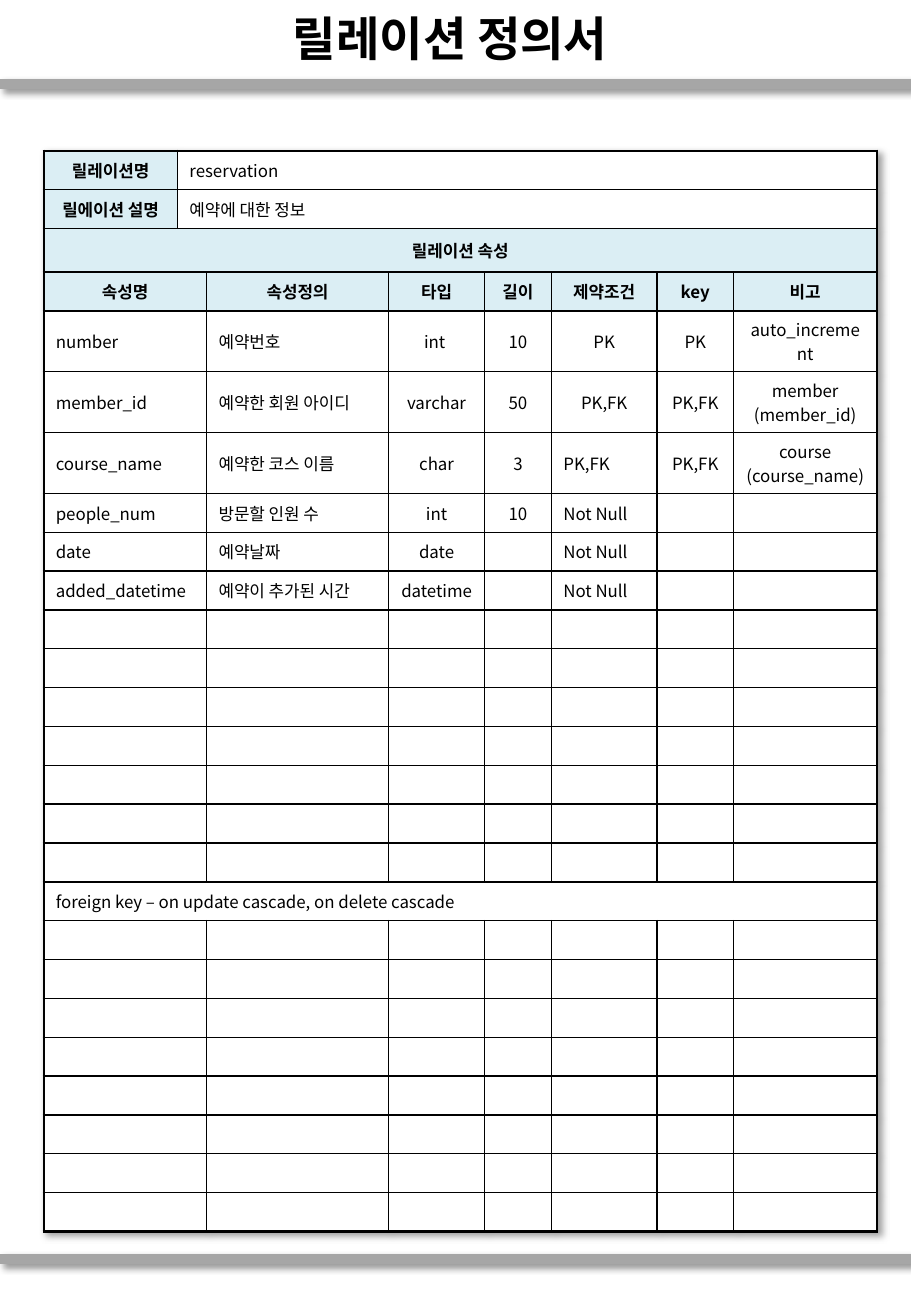
from lxml import etree
from pptx import Presentation
from pptx.dml.color import RGBColor
from pptx.enum.shapes import MSO_CONNECTOR
from pptx.enum.text import MSO_ANCHOR, MSO_AUTO_SIZE, PP_ALIGN
from pptx.oxml.ns import qn
from pptx.util import Inches, Pt

LEFT, MID = PP_ALIGN.LEFT, PP_ALIGN.CENTER
CENTER = MSO_ANCHOR.MIDDLE
FIXED = MSO_AUTO_SIZE.NONE
STRAIGHT = MSO_CONNECTOR.STRAIGHT

WIDE, HIGH = 7.5, 10.83
FONT = "Noto Sans CJK KR"
BLACK, WHITE, GRAY, TINT = "000000", "FFFFFF", "A6A6A6", "DBEEF4"
COLS = [1.1, 0.17, 1.5, 0.79, 0.55, 0.87, 0.63, 1.18]
ROW, BAND = 0.32, 0.36

BLANK = [""] * 7
ROWS = [
    ["릴레이션명", "reservation"],
    ["릴에이션 설명", "예약에 대한 정보"],
    ["릴레이션 속성"],
    ["속성명", "속성정의", "타입", "길이", "제약조건", "key", "비고"],
    ["number", "예약번호", "int ", "10", "PK", "PK", "auto_increment"],
    ["member_id", "예약한 회원 아이디", "varchar", "50", "PK,FK", "PK,FK",
     "member\n(member_id)"],
    ["course_name", "예약한 코스 이름", "char", "3", "PK,FK", "PK,FK",
     "course\n(course_name)"],
    ["people_num", "방문할 인원 수", "int", "10", "Not Null", "", ""],
    ["date", "예약날짜", "date", "", "Not Null", "", ""],
    ["added_datetime", "예약이 추가된 시간", "datetime", "", "Not Null", "", ""],
    *[BLANK] * 7,
    ["foreign key – on update cascade, on delete cascade"],
    *[BLANK] * 8,
]
STARTS = {1: [0], 2: [0, 1], 7: [0, 2, 3, 4, 5, 6, 7]}
HEAD, LOOSE, RULE = 4, 6, 4


def color(code):
    """Turn a hex string into a colour."""
    return RGBColor.from_string(code)


def node(parent, tag, **attrs):
    """Append a drawing element and return it."""
    return etree.SubElement(parent, qn(tag), attrs)


def shade(effects):
    """Add the soft shadow to an effect list."""
    shadow = node(effects, "a:outerShdw", blurRad=str(Pt(4)), dist=str(Pt(3)),
                  dir="2700000", algn="tl", rotWithShape="0")
    tone = node(shadow, "a:srgbClr", val=BLACK)
    node(tone, "a:alpha", val="40000")


def bar(slide, left, top, width):
    """Draw a thick gray rule with a shadow."""
    line = slide.shapes.add_connector(
        STRAIGHT, Inches(left), Inches(top), Inches(left + width), Inches(top))
    line.line.color.rgb = color(GRAY)
    line.line.width = Pt(6)
    shade(node(line._element.spPr, "a:effectLst"))


def title(slide, left, top, width, height):
    """Place the page title."""
    shape = slide.shapes.title
    shape.left, shape.top = Inches(left), Inches(top)
    shape.width, shape.height = Inches(width), Inches(height)
    frame = shape.text_frame
    frame.text = "릴레이션 정의서 "
    frame.auto_size = FIXED
    frame.vertical_anchor = CENTER
    para = frame.paragraphs[0]
    para.alignment = MID
    font = para.font
    font.name, font.size, font.bold = "Arial", Pt(28), True
    font.color.rgb = color(BLACK)


def border(cell, row, col, last):
    """Edge a cell, heavier on the rim of the table."""
    rims = {"a:lnL": col == 0, "a:lnR": last,
            "a:lnT": row == 0, "a:lnB": row == len(ROWS) - 1}
    for tag, rim in rims.items():
        line = node(cell._tc.get_or_add_tcPr(), tag, w=str(Pt(1.5 if rim else 1)))
        node(node(line, "a:solidFill"), "a:srgbClr", val=BLACK)


def style(para, align, bold):
    """Format one paragraph of a cell."""
    para.alignment = align
    font = para.font
    font.name, font.size, font.bold = FONT, Pt(10), bold
    font.color.rgb = color(BLACK)
    node(para._p.pPr.find(qn("a:defRPr")), "a:ea", typeface=FONT)
    if not para.runs:
        node(para._p, "a:endParaRPr", sz="1000")


def place(row, part, count):
    """Return whether a cell is a heading, and its alignment."""
    head = row < HEAD and not (count == 2 and part == 1)
    loose = part == RULE and row >= LOOSE
    plain = count < 7 or part < 2 or loose
    return head, MID if head or not plain else LEFT


def sheet(slide, left, top, width):
    """Build the relation table within a given width."""
    heights = [BAND if row == 2 else ROW for row in range(len(ROWS))]
    frame = slide.shapes.add_table(
        len(ROWS), len(COLS), Inches(left), Inches(top),
        Inches(width), Inches(sum(heights)))
    table = frame.table
    table.first_row = table.horz_banding = False
    effects = etree.Element(qn("a:effectLst"))
    shade(effects)
    table._tbl.tblPr.insert(0, effects)
    for col, share in zip(table.columns, COLS):
        col.width = Inches(width * share / sum(COLS))
    for row, texts in enumerate(ROWS):
        table.rows[row].height = Inches(heights[row])
        count = len(texts)
        starts = STARTS[count]
        ends = starts[1:] + [len(COLS)]
        for part, (start, end) in enumerate(zip(starts, ends)):
            head, align = place(row, part, count)
            if end - start > 1:
                table.cell(row, start).merge(table.cell(row, end - 1))
            for col in range(start, end):
                cell = table.cell(row, col)
                cell.text = texts[part] if col == start else ""
                cell.vertical_anchor = CENTER
                border(cell, row, col, end == len(COLS))
                cell.fill.solid()
                cell.fill.fore_color.rgb = color(TINT if head else WHITE)
                for para in cell.text_frame.paragraphs:
                    style(para, align, head)


def main():
    """Build and save the page."""
    deck = Presentation()
    deck.slide_width, deck.slide_height = Inches(WIDE), Inches(HIGH)
    slide = deck.slides.add_slide(deck.slide_layouts[5])
    for top in (0.69, 10.36):
        bar(slide, 0, top, WIDE)
    title(slide, 0, 0.01, WIDE, 0.6)
    sheet(slide, 0.36, 1.24, sum(COLS))
    deck.save("out.pptx")


if __name__ == "__main__":
    main()
